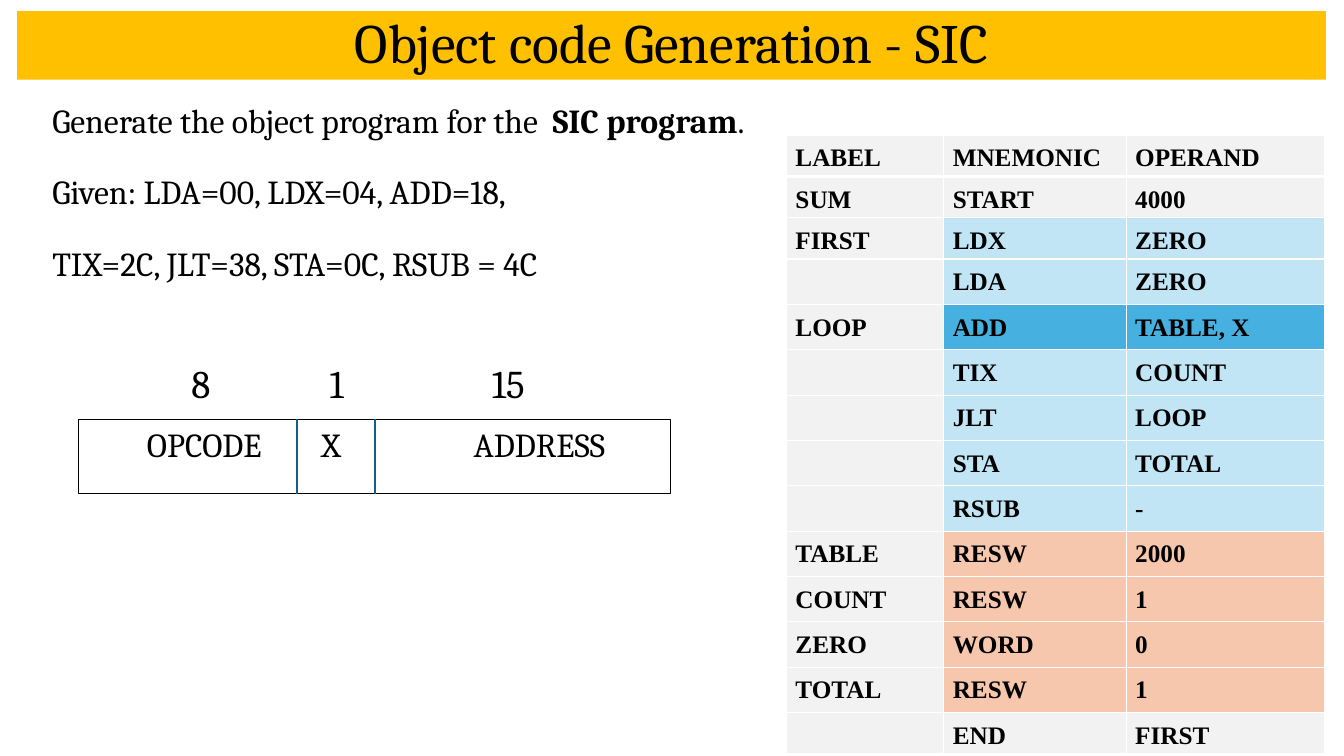
"""Build the slide on object code generation for a SIC program."""
from dataclasses import dataclass

from lxml.etree import SubElement
from pptx import Presentation
from pptx.dml.color import RGBColor
from pptx.enum.shapes import MSO_CONNECTOR, MSO_SHAPE
from pptx.enum.text import MSO_ANCHOR, PP_ALIGN
from pptx.oxml import parse_xml
from pptx.oxml.ns import nsdecls, qn
from pptx.util import Inches, Pt

GREY, PALE_BLUE, BLUE, ORANGE = "F2F2F2", "C1E5F5", "46B1E1", "F6C6AD"
SHORT_ROW, TALL_ROW = 0.41, 0.45
COLUMN_WIDTHS = (1.56, 1.81, 1.97)
FORMAT_LEFT, FORMAT_TOP, FORMAT_WIDTH, FORMAT_HEIGHT = 0.78, 4.16, 5.87, 0.74
HEADER_RULE = (f'<a:lnB {nsdecls("a")} w="{Pt(3)}"><a:solidFill>'
               '<a:srgbClr val="FFFFFF"/></a:solidFill></a:lnB>')


@dataclass(frozen=True)
class Statement:
    label: str
    mnemonic: str
    operand: str
    fill: str = PALE_BLUE
    height: float = TALL_ROW


@dataclass(frozen=True)
class Field:
    name: str
    bits: str
    name_tab: float
    bits_tab: float


PROGRAM = (
    Statement("LABEL", "MNEMONIC", "OPERAND", GREY, SHORT_ROW),
    Statement("SUM", "START", "4000", GREY, SHORT_ROW),
    Statement("FIRST", "LDX", "ZERO", height=SHORT_ROW),
    Statement("", "LDA", "ZERO"),
    Statement("LOOP", "ADD", "TABLE, X", BLUE),
    Statement("", "TIX", "COUNT"),
    Statement("", "JLT", "LOOP"),
    Statement("", "STA", "TOTAL"),
    Statement("", "RSUB", "-"),
    Statement("TABLE", "RESW", "2000", ORANGE),
    Statement("COUNT", "RESW", "1", ORANGE),
    Statement("ZERO", "WORD", "0", ORANGE),
    Statement("TOTAL", "RESW", "1", ORANGE),
    Statement("", "END", "FIRST", GREY, SHORT_ROW),
)
FIELDS = (
    Field("OPCODE", "8", 0.58, 1.63),
    Field("X", "1", 2.31, 3.0),
    Field("ADDRESS", "15", 3.82, 4.61),
)
TASK = (
    (("Generate the object program for the  ", False), ("SIC program", True), (".", False)),
    (("Given: LDA=00, LDX=04, ADD=18,", False),),
    (("TIX=2C, JLT=38, STA=0C, RSUB = 4C", False),),
)


def rgb(value: str) -> RGBColor:
    return RGBColor.from_string(value)


def set_font(paragraph, size: float, name: str = "Cambria") -> None:
    paragraph.font.size = Pt(size)
    paragraph.font.name = name
    paragraph.font.color.rgb = rgb("000000")


def set_tabs(paragraph, stops: list[float]) -> None:
    tab_list = SubElement(paragraph._p.get_or_add_pPr(), qn("a:tabLst"))
    for stop in stops:
        SubElement(tab_list, qn("a:tab"), pos=str(Inches(stop)), algn="l")


def add_rectangle(slide, left: float, top: float, width: float, height: float):
    rectangle = slide.shapes.add_shape(
        MSO_SHAPE.RECTANGLE, Inches(left), Inches(top), Inches(width), Inches(height))
    rectangle.shadow.inherit = False
    return rectangle


def draw_title(slide) -> None:
    banner = add_rectangle(slide, 0.17, 0.11, 12.98, 0.68)
    banner.fill.solid()
    banner.fill.fore_color.rgb = rgb("FFC000")
    banner.line.fill.background()
    banner.text_frame.vertical_anchor = MSO_ANCHOR.MIDDLE
    heading = banner.text_frame.paragraphs[0]
    heading.text = "Object code Generation - SIC"
    heading.alignment = PP_ALIGN.CENTER
    heading.line_spacing = 0.9
    set_font(heading, 39.6)


def draw_task(slide) -> None:
    body = slide.shapes.add_textbox(
        Inches(0.17), Inches(0.88), Inches(12.98), Inches(6.52)).text_frame
    body.word_wrap = True
    for index, parts in enumerate(TASK):
        line = body.add_paragraph() if index else body.paragraphs[0]
        line._p.get_or_add_pPr().set("marL", str(Inches(0.25)))
        line.line_spacing = 1.15
        line.space_before = Pt(10 if index else 0)
        line.space_after = Pt(8)
        set_font(line, 24)
        for text, bold in parts:
            run = line.add_run()
            run.text = text
            run.font.bold = bold
    bit_counts = body.add_paragraph()
    set_tabs(bit_counts, [field.bits_tab for field in FIELDS])
    bit_counts.text = "".join(f"\t{field.bits}" for field in FIELDS)
    bit_counts.line_spacing = 0.9
    bit_counts.space_before = Pt(50)
    set_font(bit_counts, 28)


def draw_program(slide) -> None:
    height = sum(statement.height for statement in PROGRAM)
    listing = slide.shapes.add_table(
        len(PROGRAM), len(COLUMN_WIDTHS), Inches(7.8), Inches(1.34),
        Inches(sum(COLUMN_WIDTHS)), Inches(height)).table
    for column, width in zip(listing.columns, COLUMN_WIDTHS):
        column.width = Inches(width)
    for row, statement in zip(listing.rows, PROGRAM):
        row.height = Inches(statement.height)
        texts = (statement.label, statement.mnemonic, statement.operand)
        fills = (GREY, statement.fill, statement.fill)
        for cell, text, fill in zip(row.cells, texts, fills):
            cell.margin_left = Inches(0.09)
            cell.margin_bottom = Inches(0.01)
            cell.fill.solid()
            cell.fill.fore_color.rgb = rgb(fill)
            entry = cell.text_frame.paragraphs[0]
            entry.text = text
            entry.line_spacing = 1.15
            set_font(entry, 18, "Times New Roman")
            entry.font.bold = True
    for cell in listing.rows[0].cells:
        cell._tc.get_or_add_tcPr().insert(0, parse_xml(HEADER_RULE))


def add_divider(slide, x: float):
    divider = slide.shapes.add_connector(
        MSO_CONNECTOR.STRAIGHT, Inches(x), Inches(FORMAT_TOP),
        Inches(x), Inches(FORMAT_TOP + FORMAT_HEIGHT))
    divider.line.color.rgb = rgb("156082")
    divider.line.width = Pt(1.5)
    SubElement(divider._element.spPr, qn("a:effectLst"))
    return divider


def draw_instruction_format(slide) -> None:
    instruction = add_rectangle(slide, FORMAT_LEFT, FORMAT_TOP, FORMAT_WIDTH, FORMAT_HEIGHT)
    instruction.fill.background()
    instruction.line.color.rgb = rgb("000000")
    instruction.line.width = Pt(0.75)
    instruction.text_frame.vertical_anchor = MSO_ANCHOR.TOP
    names = instruction.text_frame.paragraphs[0]
    set_tabs(names, [field.name_tab for field in FIELDS])
    names.text = "".join(f"\t{field.name}" for field in FIELDS)
    names.alignment = PP_ALIGN.LEFT
    set_font(names, 24)
    add_divider(slide, 2.95)
    address_divider = add_divider(slide, FORMAT_LEFT + FORMAT_WIDTH / 2)
    address_divider.begin_connect(instruction, 0)
    address_divider.end_connect(instruction, 2)


def main() -> None:
    presentation = Presentation()
    presentation.slide_width = Inches(13.33)
    presentation.slide_height = Inches(7.5)
    slide = presentation.slides.add_slide(presentation.slide_layouts[6])
    draw_title(slide)
    draw_task(slide)
    draw_program(slide)
    draw_instruction_format(slide)
    presentation.save("out.pptx")


if __name__ == "__main__":
    main()
